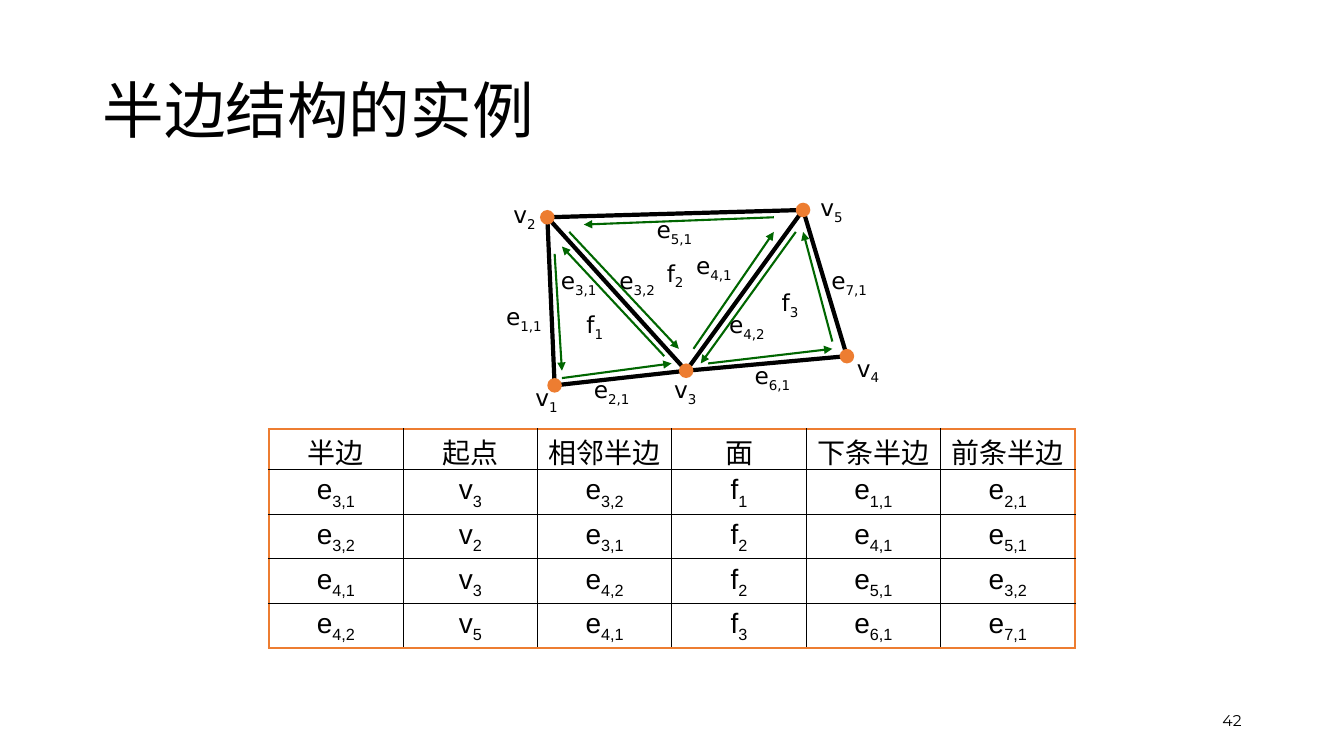
from dataclasses import dataclass
from lxml.etree import SubElement
from pptx import Presentation
from pptx.dml.color import RGBColor
from pptx.enum.shapes import MSO_CONNECTOR as Link, MSO_SHAPE as Shape
from pptx.enum.text import MSO_ANCHOR as Anchor, MSO_AUTO_SIZE as Auto, PP_ALIGN as Align
from pptx.oxml.ns import qn
from pptx.util import Emu, Inches, Pt

BLACK, ORANGE, GREEN = "000000", "ED7D31", "006600"


@dataclass(frozen=True)
class Grid:
    left: float
    top: float
    step: float

    def x(self, col: float) -> Emu:
        return Emu(round(self.left + col * self.step))

    def y(self, row: float) -> Emu:
        return Emu(round(self.top + row * self.step))

    def span(self, size: float) -> Emu:
        return Emu(round(size * self.step))

    def box(self, col: float, row: float, wide: float, high: float) -> tuple:
        return self.x(col), self.y(row), self.span(wide), self.span(high)


@dataclass(frozen=True)
class Node:
    col: float
    row: float


@dataclass(frozen=True)
class Arrow:
    start: Node
    end: Node


@dataclass(frozen=True)
class Label:
    text: str
    col: float
    row: float


UNIT = Inches(1 / 12)
PAGE = Grid(0, 0, UNIT)
MESH = Grid(65.16 * UNIT, 25 * UNIT, 0.87 * UNIT)

V1, V2, V3, V4, V5 = Node(1, 24), Node(0, 1), Node(19, 22), Node(41, 20), Node(35, 0)
NODES = [V1, V3, V4, V5, V2]
EDGES = [Arrow(V1, V3), Arrow(V3, V5), Arrow(V4, V5), Arrow(V4, V3),
         Arrow(V5, V2), Arrow(V2, V3), Arrow(V2, V1)]
HALVES = [
    Arrow(Node(20, 19), Node(31, 3)),
    Arrow(Node(3, 3), Node(18, 19)),
    Arrow(Node(31, 1), Node(5, 2)),
    Arrow(Node(16, 20), Node(2, 5)),
    Arrow(Node(1, 6), Node(2, 22)),
    Arrow(Node(2, 23), Node(17, 21)),
    Arrow(Node(34, 3), Node(21, 21)),
    Arrow(Node(22, 21), Node(39, 19)),
    Arrow(Node(39, 18), Node(35, 3)),
]
LABELS = [
    Label("v_1", -3, 23), Label("v_2", -6, -2), Label("v_3", 16, 22),
    Label("v_4", 41, 19), Label("v_5", 36, -3),
    Label("f_1", 4, 13), Label("f_2", 15, 6), Label("f_3", 30.7, 10),
    Label("e_1,1", -7, 12), Label("e_2,1", 5, 22), Label("e_3,1", 0.5, 7),
    Label("e_3,2", 8.5, 7), Label("e_4,1", 19, 5), Label("e_5,1", 13.6, 0),
    Label("e_4,2", 23.5, 13), Label("e_6,1", 27, 20), Label("e_7,1", 37.5, 7),
]
WIDTHS = {"v": 5.9, "f": 5.2, "e": 8}
ROWS = [
    ["半边", "起点", "相邻半边", "面", "下条半边", "前条半边"],
    ["e_3,1", "v_3", "e_3,2", "f_1", "e_1,1", "e_2,1"],
    ["e_3,2", "v_2", "e_3,1", "f_2", "e_4,1", "e_5,1"],
    ["e_4,1", "v_3", "e_4,2", "f_2", "e_5,1", "e_3,2"],
    ["e_4,2", "v_5", "e_4,1", "f_3", "e_6,1", "e_7,1"],
]


def paint(color, code: str) -> None:
    color.rgb = RGBColor.from_string(code)


def write(para, text: str, size: float, face: str) -> None:
    base, _, sub = text.partition("_")
    para.text = base
    if sub:
        low = para.add_run()
        low.text = sub
        low._r.get_or_add_rPr().set("baseline", "-25000")
    for run in para.runs:
        run.font.size, run.font.name = Pt(size), face
        paint(run.font.color, BLACK)


def draw_line(shapes, arrow: Arrow, code: str, width: float, head: bool = False) -> None:
    a, b = arrow.start, arrow.end
    line = shapes.add_connector(Link.STRAIGHT, MESH.x(a.col), MESH.y(a.row),
                                MESH.x(b.col), MESH.y(b.row))
    paint(line.line.color, code)
    line.line.width = Pt(width)
    if head:
        SubElement(line.line._get_or_add_ln(), qn("a:tailEnd"), type="triangle")
    SubElement(line._element.spPr, qn("a:effectLst"))


def draw_node(shapes, node: Node) -> None:
    dot = shapes.add_shape(Shape.OVAL, *MESH.box(node.col - 1, node.row - 1, 2, 2))
    dot.shadow.inherit = False
    dot.fill.solid()
    paint(dot.fill.fore_color, ORANGE)
    dot.line.fill.background()


def draw_label(shapes, label: Label) -> None:
    wide = WIDTHS[label.text[0]]
    frame = shapes.add_textbox(*MESH.box(label.col, label.row, wide, 5.2)).text_frame
    frame.word_wrap = False
    frame.auto_size = Auto.SHAPE_TO_FIT_TEXT
    write(frame.paragraphs[0], label.text, 16.6, "DejaVu Sans")


def add_rim(cell, side: str, outer: bool) -> None:
    width = Pt(1.5 if outer else 1)
    rim = SubElement(cell._tc.get_or_add_tcPr(), qn(f"a:ln{side}"), w=str(width))
    fill = SubElement(rim, qn("a:solidFill"))
    SubElement(fill, qn("a:srgbClr"), val=ORANGE if outer else BLACK)


def draw_table(shapes) -> None:
    tall, wide = len(ROWS), len(ROWS[0])
    table = shapes.add_table(tall, wide, *PAGE.box(32, 51.1, 96, 23.8)).table
    table.first_row = table.horz_banding = False
    for r, row in enumerate(ROWS):
        for c, text in enumerate(row):
            cell = table.cell(r, c)
            para = cell.text_frame.paragraphs[0]
            para.alignment, para.line_spacing = Align.CENTER, 0.9
            write(para, text, 20, "Arial")
            outer = {"L": c == 0, "R": c == wide - 1, "T": r == 0, "B": r == tall - 1}
            for side, flag in outer.items():
                add_rim(cell, side, flag)
            cell.fill.background()


def draw_title(title) -> None:
    title.left, title.top, title.width, title.height = PAGE.box(11, 4.8, 138, 17.4)
    title.text_frame.vertical_anchor = Anchor.MIDDLE
    para = title.text_frame.paragraphs[0]
    para.alignment, para.line_spacing = Align.LEFT, 0.9
    write(para, "半边结构的实例", 44, "Calibri")


def draw_page(shapes) -> None:
    frame = shapes.add_textbox(*PAGE.box(113, 83.4, 36, 4.8)).text_frame
    frame.word_wrap = True
    frame.vertical_anchor = Anchor.MIDDLE
    para = frame.paragraphs[0]
    para.alignment = Align.RIGHT
    write(para, "42", 11.1, "Montserrat")


def main() -> None:
    deck = Presentation()
    deck.slide_width, deck.slide_height = PAGE.span(160), PAGE.span(90)
    shapes = deck.slides.add_slide(deck.slide_layouts[5]).shapes
    draw_page(shapes)
    draw_title(shapes.title)
    mesh = shapes.add_group_shape().shapes
    for edge in EDGES:
        draw_line(mesh, edge, BLACK, 3)
    for node in NODES:
        draw_node(mesh, node)
    for half in HALVES:
        draw_line(mesh, half, GREEN, 1.5, head=True)
    for label in LABELS:
        draw_label(mesh, label)
    draw_table(shapes)
    deck.save("out.pptx")


if __name__ == "__main__":
    main()
